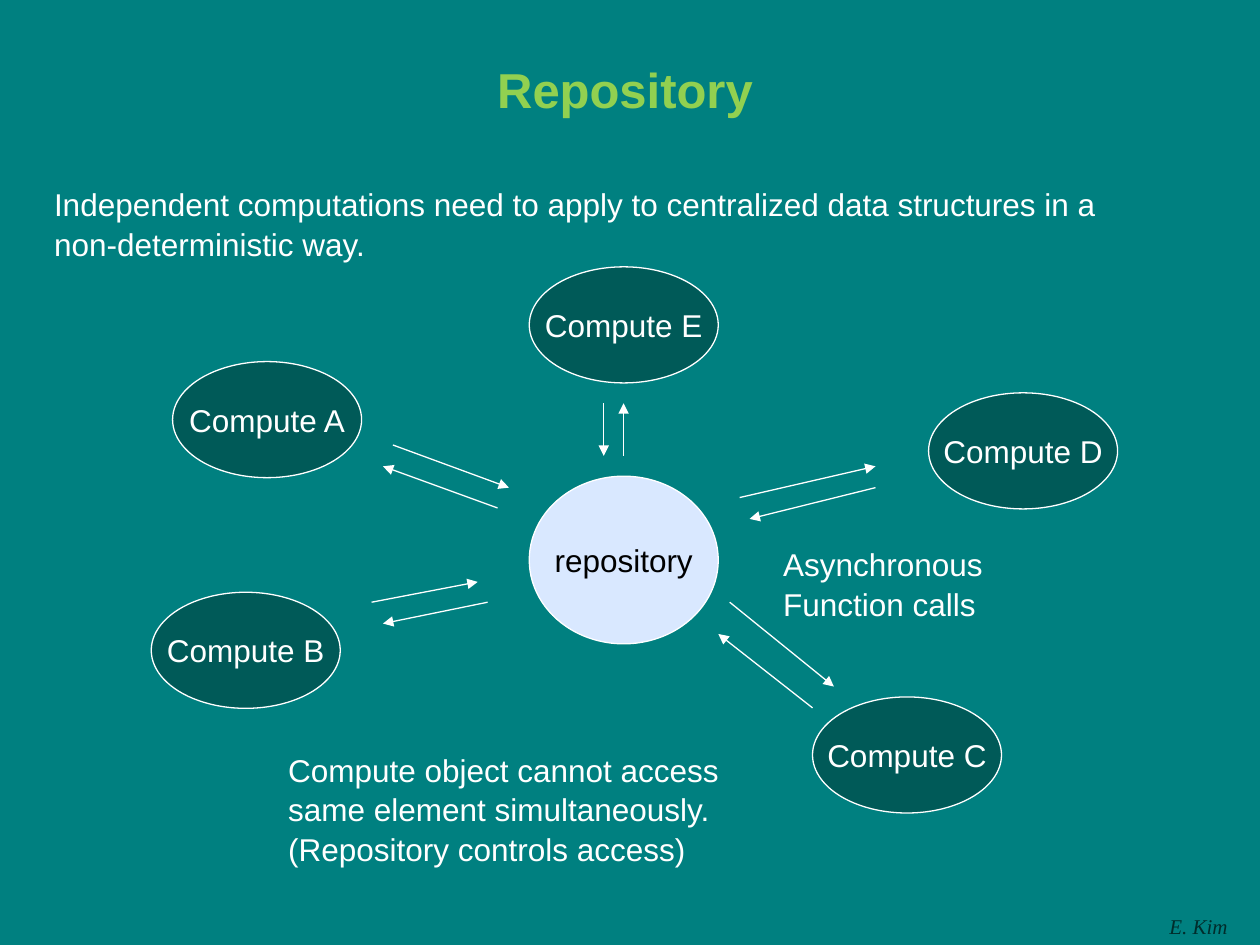
from lxml import etree
from pptx import Presentation
from pptx.dml.color import RGBColor
from pptx.enum.shapes import MSO_CONNECTOR, MSO_SHAPE
from pptx.enum.text import MSO_ANCHOR as Anchor, MSO_AUTO_SIZE as AutoSize, PP_ALIGN as Align
from pptx.oxml import parse_xml
from pptx.oxml.ns import nsdecls, qn
from pptx.util import Cm, Pt

TEAL = RGBColor(0x00, 0x80, 0x80)
DARK_TEAL = RGBColor(0x00, 0x5A, 0x58)
INK = RGBColor(0x00, 0x2D, 0x2C)
PALE_BLUE = RGBColor(0xD9, 0xE8, 0xFF)
LIME = RGBColor(0x92, 0xD0, 0x50)
WHITE = RGBColor(0xFF, 0xFF, 0xFF)
BLACK = RGBColor(0x00, 0x00, 0x00)

deck = Presentation()
deck.slide_width, deck.slide_height = Cm(25.4), Cm(19.05)
slide = deck.slides.add_slide(deck.slide_layouts[6])
slide.background.fill.solid()
slide.background.fill.fore_color.rgb = TEAL


def write(frame, lines, color, size=18, font="Arial", align=Align.LEFT, wrap=False):
    """Put one paragraph per line into the frame and return the last run."""
    frame.word_wrap = wrap
    for number, line in enumerate(lines):
        paragraph = frame.add_paragraph() if number else frame.paragraphs[0]
        paragraph.alignment = align
        if number:
            paragraph.space_before = Pt(1)
        run = paragraph.add_run()
        run.text = line
        run.font.name, run.font.size = font, Pt(size)
        run.font.color.rgb = color
    return run


def add_text(left, top, width, height, lines, color, **style):
    frame = slide.shapes.add_textbox(Cm(left), Cm(top), Cm(width), Cm(height)).text_frame
    run = write(frame, lines, color, **style)
    frame.auto_size = AutoSize.SHAPE_TO_FIT_TEXT
    return run


# Title with a soft text shadow
title = add_text(9.73, 1.07, 5.74, 1.45, ["Repository"], LIME, size=28, align=Align.CENTER)
title.font.bold = True
title_shadow = parse_xml(
    f'<a:effectLst {nsdecls("a")}><a:outerShdw blurRad="38100" dist="38100" dir="2700000">'
    '<a:srgbClr val="000000"><a:alpha val="43000"/></a:srgbClr></a:outerShdw></a:effectLst>')
title.font.fill._xPr.find(qn("a:solidFill")).addnext(title_shadow)

# Introduction
add_text(0.84, 3.61, 22, 1.78,
         ["Independent computations need to apply to centralized data structures in a",
          "non-deterministic way."], WHITE, wrap=True)

# Repository and the compute objects around it
nodes = [
    ("repository", 10.67, 9.6, 3.38, PALE_BLUE, BLACK),
    ("Compute A", 3.48, 7.29, 2.34, DARK_TEAL, WHITE),
    ("Compute B", 3.05, 11.94, 2.34, DARK_TEAL, WHITE),
    ("Compute E", 10.67, 5.38, 2.34, DARK_TEAL, WHITE),
    ("Compute D", 18.72, 7.92, 2.34, DARK_TEAL, WHITE),
    ("Compute C", 16.38, 14.05, 2.34, DARK_TEAL, WHITE),
]
for name, left, top, height, fill, ink in nodes:
    node = slide.shapes.add_shape(MSO_SHAPE.OVAL, Cm(left), Cm(top), Cm(3.81), Cm(height))
    node.shadow.inherit = False
    node.fill.solid()
    node.fill.fore_color.rgb = fill
    node.line.color.rgb, node.line.width = WHITE, Pt(0.75)
    node.text_frame.vertical_anchor = Anchor.MIDDLE
    write(node.text_frame, [name], ink, align=Align.CENTER)

# Call and return arrows: x and y of the start, x and y of the tip
calls = [
    (7.49, 12.14, 9.63, 11.73), (9.83, 12.14, 7.72, 12.57),    # B
    (7.92, 8.97, 10.26, 9.83), (10.03, 10.24, 7.72, 9.4),      # A
    (12.17, 8.13, 12.17, 9.19), (12.57, 9.19, 12.57, 8.13),    # E
    (14.91, 10.03, 17.65, 9.4), (17.65, 9.83, 15.11, 10.46),   # D
    (14.71, 12.14, 16.81, 13.84), (16.38, 14.27, 14.48, 12.78),  # C
]
for ends in calls:
    call = slide.shapes.add_connector(MSO_CONNECTOR.STRAIGHT, *map(Cm, ends))
    call.line.color.rgb, call.line.width = WHITE, Pt(0.75)
    etree.SubElement(call.line._get_or_add_ln(), qn("a:tailEnd"), type="triangle")
    etree.SubElement(call._element.spPr, qn("a:effectLst"))

# Remarks
add_text(15.54, 10.87, 4.57, 1.8, ["Asynchronous", "Function calls"], WHITE)
add_text(5.56, 15.01, 9.45, 2.57,
         ["Compute object cannot access", "same element simultaneously.",
          "(Repository controls access)"], WHITE)

# Author
author = add_text(20.12, 18.29, 4.88, 0.76, ["E. Kim"], INK, size=12,
                  font="Times New Roman", align=Align.RIGHT, wrap=True)
author.font.italic = True

deck.save("out.pptx")
